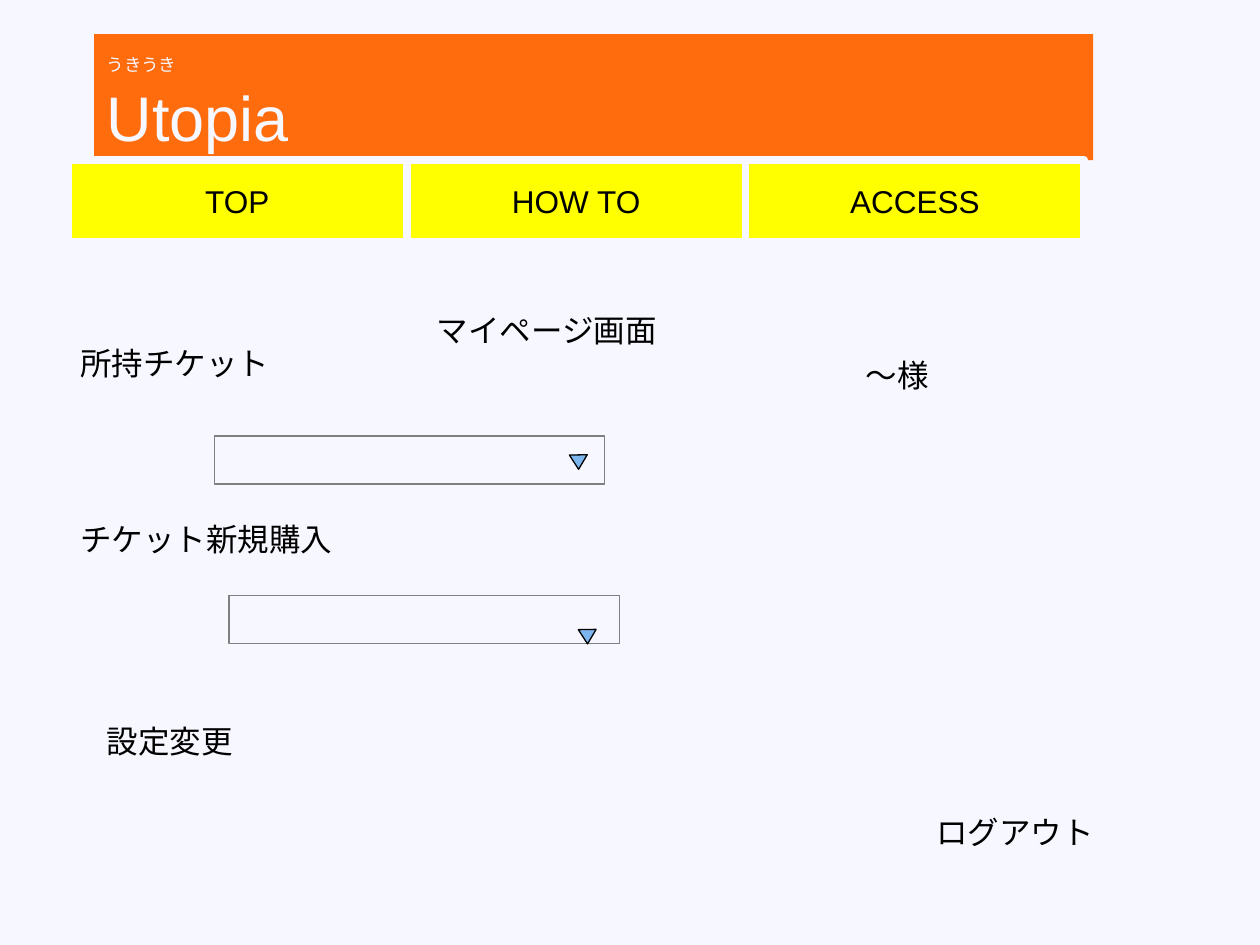
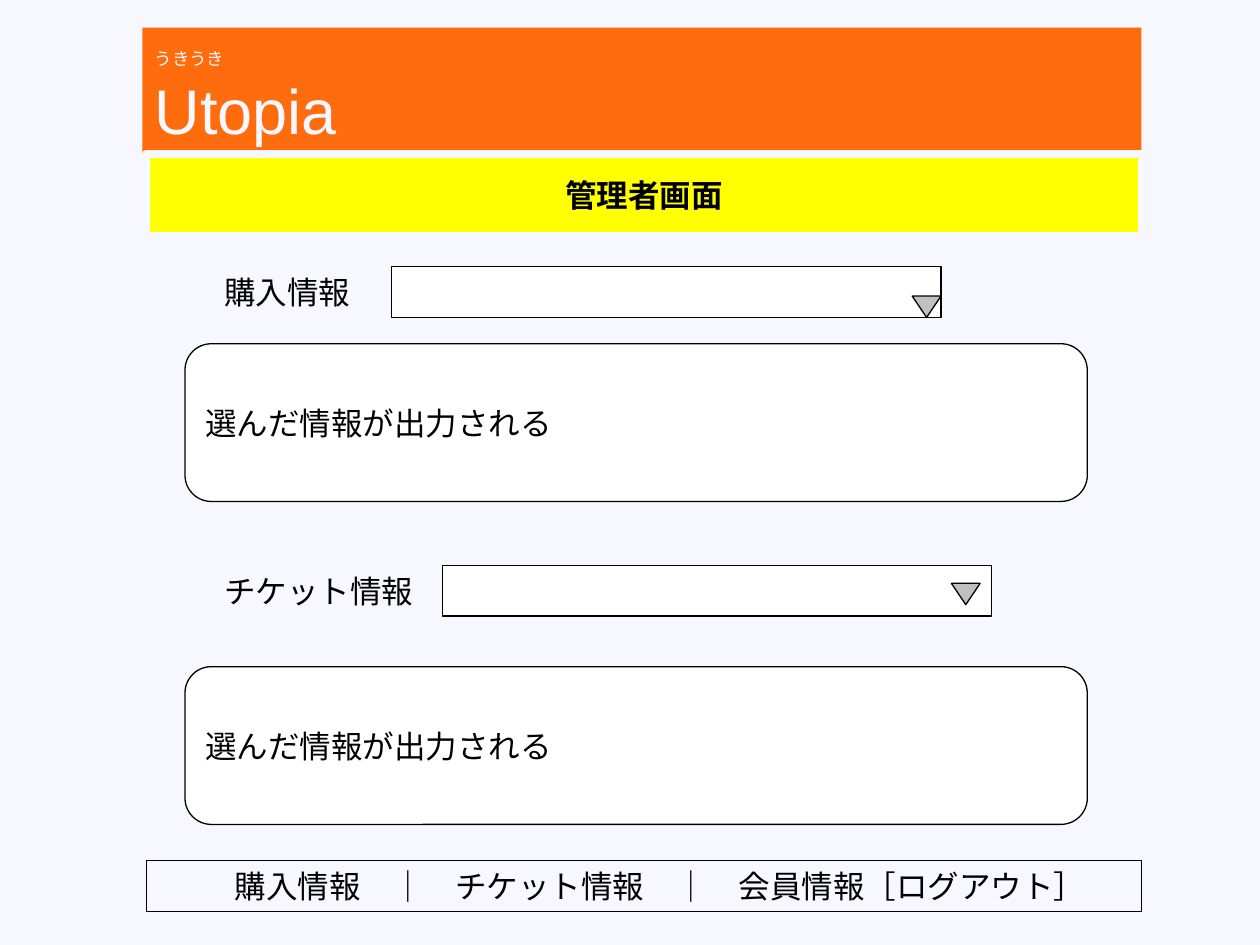
from pptx import Presentation
from pptx.dml.color import RGBColor
from pptx.enum import lang, shapes, text
from pptx.util import Cm, Pt

COLORS = {
    "paper": "F7F7FF", "orange": "FF6C0D", "yellow": "FFFF00", "black": "000000",
    "white": "FFFFFF", "grey": "808080", "silver": "C0C0C0", "blue": "7DB6EF",
}
FONT = "Arial"
KIND = shapes.MSO_SHAPE
ALIGN = text.PP_ALIGN


def draw(s, kind, x, y, w, h, fill=None, line=None, line_pt=0.75):
    sp = s.shapes.add_shape(kind, Cm(x), Cm(y), Cm(w), Cm(h))
    sp.shadow.inherit = False
    for part, color in ((sp.fill, fill), (sp.line.fill, line)):
        if color:
            part.solid()
            part.fore_color.rgb = RGBColor.from_string(COLORS[color])
        else:
            part.background()
    if line:
        sp.line.width = Pt(line_pt)
    return sp


def write(sp, lines, color="black", align=ALIGN.LEFT, bold=False, wrap=True):
    """Fill a shape with lines, each a list of (words, point size) runs."""
    tf = sp.text_frame
    tf.word_wrap = wrap
    for i, runs in enumerate(lines):
        p = tf.add_paragraph() if i else tf.paragraphs[0]
        p.alignment = align
        for words, size in runs:
            r = p.add_run()
            r.text = words
            r.font.name = FONT
            r.font.size = Pt(size)
            r.font.bold = bold
            r.font.language_id = lang.MSO_LANGUAGE_ID.JAPANESE
            r.font.color.rgb = RGBColor.from_string(COLORS[color])


prs = Presentation()
prs.slide_width, prs.slide_height = Cm(25.4), Cm(19.05)

# Background, banner, yellow bar and labels of both pages
BANNER_W, BAR_H, LABEL_H = 20.14, 1.65, 1.02
pages = [
    {
        "banner": (1.9, 0.69),
        "bar": (1.37, 3.23, 6.83, ["TOP", "HOW TO", "ACCESS"]),
        "bold": False,
        "labels": [
            ("所持チケット", 1.37, 6.81, 6.5),
            ("チケット新規購入", 1.37, 10.36, 11.7),
            ("ログアウト", 18.62, 16.26, 6.5),
            ("マイページ画面", 8.56, 6.15, 7.37),
            ("～様", 17.2, 7.06, 6.1),
            ("設定変更", 1.9, 14.43, 7.37),
        ],
    },
    {
        "banner": (2.87, 0.56),
        "bar": (2.95, 3.1, 20.07, ["管理者画面"]),
        "bold": True,
        "labels": [
            ("購入情報", 4.27, 5.38, 15.72),
            ("チケット情報", 4.27, 11.4, 15.72),
        ],
    },
]
for page in pages:
    s = prs.slides.add_slide(prs.slide_layouts[6])
    s.background.fill.solid()
    s.background.fill.fore_color.rgb = RGBColor.from_string(COLORS["paper"])

    banner = draw(s, KIND.RECTANGLE, *page["banner"], BANNER_W, 2.54, "orange")
    write(banner, [[("うきうき", 10), ("　", 18)], [("Utopia", 36)]], "paper")

    left, top, width, names = page["bar"]
    for i, name in enumerate(names):
        button = draw(s, KIND.RECTANGLE, left + i * width, top, width, BAR_H,
                      "yellow", "paper", 4.5)
        write(button, [[(name, 18)]], align=ALIGN.CENTER, bold=page["bold"], wrap=False)

    for words, x, y, w in page["labels"]:
        label = s.shapes.add_textbox(Cm(x), Cm(y), Cm(w), Cm(LABEL_H))
        write(label, [[(words, 18)]])

my_page, admin_page = prs.slides

# My page: ticket drop-downs
for x, y, arrow_x, arrow_y in [(4.32, 8.79, 11.48, 9.17), (4.62, 12.01, 11.66, 12.69)]:
    draw(my_page, KIND.RECTANGLE, x, y, 7.87, 0.97, "paper", "grey")
    arrow = draw(my_page, KIND.ISOSCELES_TRIANGLE, arrow_x, arrow_y, 0.36, 0.29,
                 "blue", "black")
    arrow.rotation = 179

# Admin page: drop-down and result panel for each kind of information
for x, y, arrow_x, arrow_y, panel_y in [(7.9, 5.38, 18.39, 5.97, 6.93),
                                        (8.92, 11.4, 19.18, 11.76, 13.44)]:
    draw(admin_page, KIND.RECTANGLE, x, y, 11.07, 1.02, "white", "black")
    draw(admin_page, KIND.FLOWCHART_MERGE, arrow_x, arrow_y, 0.58, 0.43, "silver", "black")
    panel = draw(admin_page, KIND.ROUNDED_RECTANGLE, 3.73, panel_y, 18.19, 3.18,
                 "white", "black")
    write(panel, [[("選んだ情報が出力される", 18)]], wrap=False)

footer = draw(admin_page, KIND.RECTANGLE, 2.95, 17.35, 20.07, 1.02, line="black")
write(footer, [[("　購入情報　｜　チケット情報　｜　会員情報［ログアウト］", 18)]],
      align=ALIGN.CENTER)

prs.save("out.pptx")
